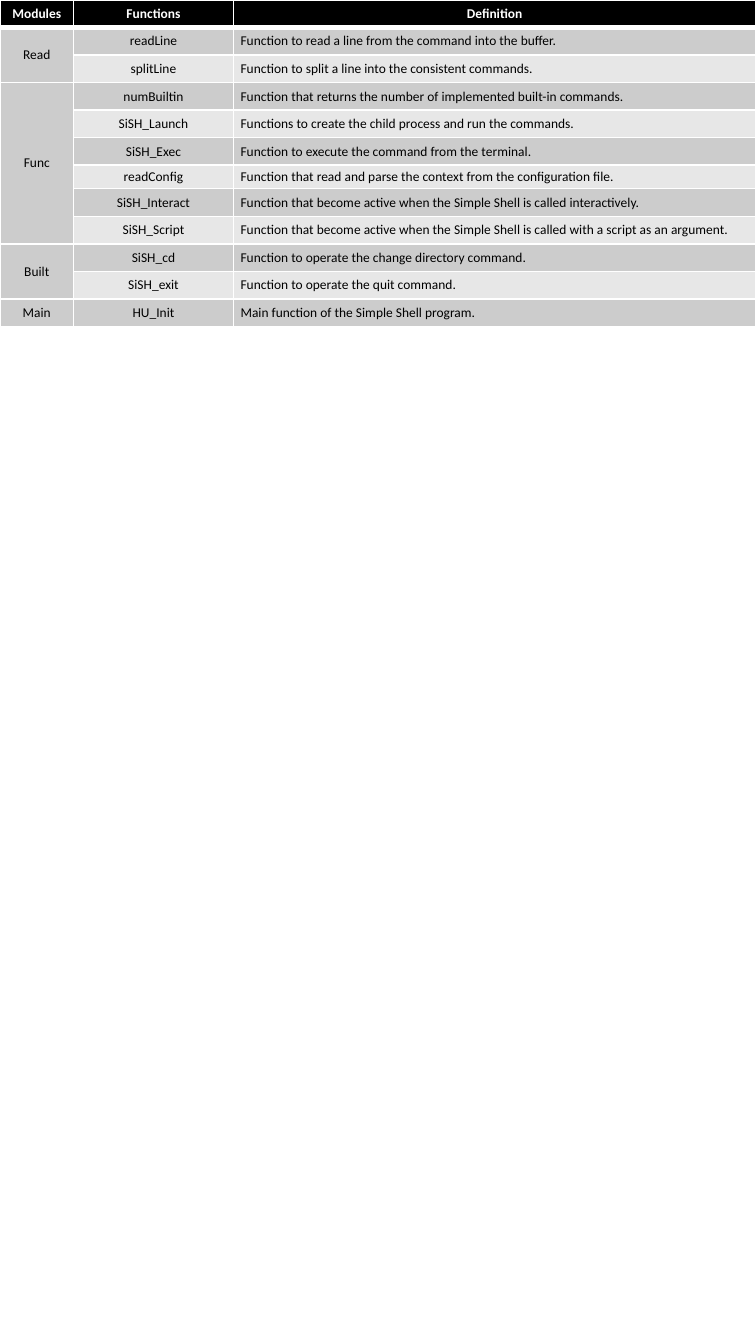
from lxml import etree
from pptx import Presentation
from pptx.dml.color import RGBColor
from pptx.enum.text import MSO_ANCHOR, PP_ALIGN
from pptx.oxml.ns import qn
from pptx.util import Pt

CENTER, LEFT, MIDDLE = PP_ALIGN.CENTER, PP_ALIGN.LEFT, MSO_ANCHOR.MIDDLE

HEADINGS = ("Modules", "Functions", "Definition")
MODULES = {
    "Read": [
        ("readLine", "Function to read a line from the command into the buffer."),
        ("splitLine", "Function to split a line into the consistent commands."),
    ],
    "Func": [
        ("numBuiltin", "Function that returns the number of implemented built-in commands."),
        ("SiSH_Launch", "Functions to create the child process and run the commands."),
        ("SiSH_Exec", "Function to execute the command from the terminal."),
        ("readConfig", "Function that read and parse the context from the configuration file."),
        ("SiSH_Interact", "Function that become active when the Simple Shell is called interactively."),
        ("SiSH_Script", "Function that become active when the Simple Shell is called with a script as an argument."),
    ],
    "Built": [
        ("SiSH_cd", "Function to operate the change directory command."),
        ("SiSH_exit", "Function to operate the quit command."),
    ],
    "Main": [("HU_Init", "Main function of the Simple Shell program.")],
}

BLACK = RGBColor(0x00, 0x00, 0x00)
WHITE = RGBColor(0xFF, 0xFF, 0xFF)
DARK_BAND = RGBColor(0xCC, 0xCC, 0xCC)
LIGHT_BAND = RGBColor(0xE7, 0xE7, 0xE7)

PAGE_WIDTH, PAGE_HEIGHT = 450, 800
COLUMN_WIDTHS = (43.8, 95.2, 311)
ROW_HEIGHT, SHORT_ROW_HEIGHT = 16.4, 14
SHORT_ROW = "readConfig"
SIDE_MARGIN, END_MARGIN = 4.2, 2.1
THIN_LINE, THICK_LINE = 1, 3


def add_border(cell, side, width):
    """Draw one white edge; calls must run in the order L, R, T, B."""
    properties = cell._tc.get_or_add_tcPr()
    line = etree.Element(qn(f"a:ln{side}"), w=str(Pt(width)))
    fill = etree.SubElement(line, qn("a:solidFill"))
    etree.SubElement(fill, qn("a:srgbClr"), val=str(WHITE))
    properties.insert("LRTB".index(side), line)


def style_cell(cell, fill, top=THIN_LINE, bottom=THIN_LINE):
    """Set the fill, margins and edges of a cell."""
    cell.fill.solid()
    cell.fill.fore_color.rgb = fill
    cell.vertical_anchor = MIDDLE
    cell.margin_left = cell.margin_right = Pt(SIDE_MARGIN)
    cell.margin_top = cell.margin_bottom = Pt(END_MARGIN)
    for side, width in zip("LRTB", (THIN_LINE, THIN_LINE, top, bottom)):
        add_border(cell, side, width)


def write(cell, text, align=CENTER, color=BLACK, bold=False):
    """Put one line of text in a cell."""
    para = cell.text_frame.paragraphs[0]
    para.text = text
    para.alignment = align
    para.font.name = "Calibri"
    para.font.size = Pt(8)
    para.font.bold = bold
    para.font.color.rgb = color


def fill_header(table):
    """Write the black heading row with its thick lower edge."""
    for column, heading in enumerate(HEADINGS):
        cell = table.cell(0, column)
        style_cell(cell, BLACK, bottom=THICK_LINE)
        write(cell, heading, color=WHITE, bold=True)


def fill_modules(table):
    """Write the banded function rows and merge each module's cells."""
    row = 1
    for module, functions in MODULES.items():
        first = row
        for name, definition in functions:
            band = DARK_BAND if row % 2 else LIGHT_BAND
            top = THICK_LINE if row == 1 else THIN_LINE
            for column, fill in enumerate((DARK_BAND, band, band)):
                style_cell(table.cell(row, column), fill, top=top)
            write(table.cell(row, 1), name)
            write(table.cell(row, 2), definition, LEFT)
            if name == SHORT_ROW:
                table.rows[row].height = Pt(SHORT_ROW_HEIGHT)
            row += 1
        write(table.cell(first, 0), module)
        if len(functions) > 1:
            table.cell(first, 0).merge(table.cell(row - 1, 0))


deck = Presentation()
deck.slide_width, deck.slide_height = Pt(PAGE_WIDTH), Pt(PAGE_HEIGHT)
page = deck.slides.add_slide(deck.slide_layouts[6])

row_count = 1 + sum(len(functions) for functions in MODULES.values())
table_height = ROW_HEIGHT * (row_count - 1) + SHORT_ROW_HEIGHT
table = page.shapes.add_table(
    row_count, len(HEADINGS), Pt(0), Pt(0), Pt(PAGE_WIDTH), Pt(table_height)
).table
table.horz_banding = False
for column, width in zip(table.columns, COLUMN_WIDTHS):
    column.width = Pt(width)
for table_row in table.rows:
    table_row.height = Pt(ROW_HEIGHT)
fill_header(table)
fill_modules(table)

deck.save("out.pptx")
